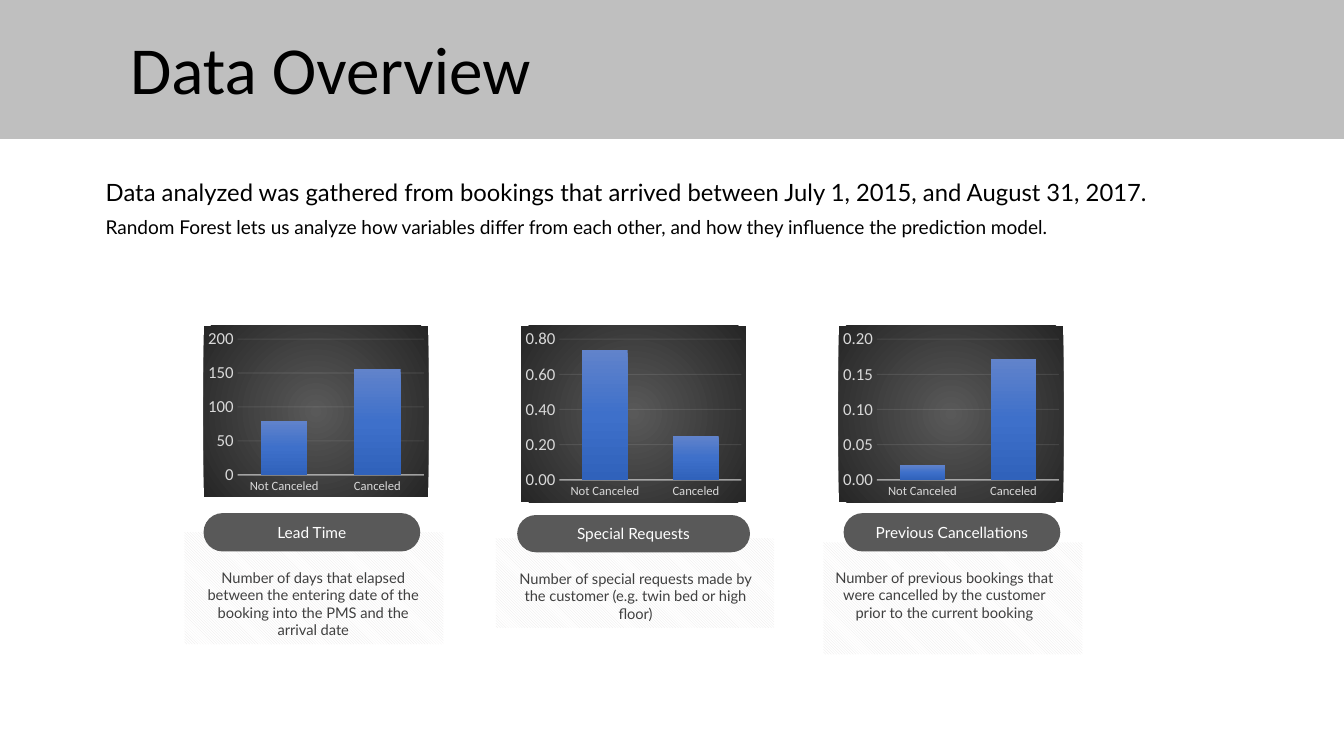
"""Build the Data Overview slide with three comparison cards."""
from dataclasses import dataclass

from lxml import etree
from pptx import Presentation
from pptx.chart.data import CategoryChartData
from pptx.dml.color import RGBColor
from pptx.enum.chart import XL_CHART_TYPE, XL_TICK_MARK
from pptx.enum.dml import MSO_PATTERN
from pptx.enum.shapes import MSO_SHAPE
from pptx.enum.text import MSO_ANCHOR, MSO_AUTO_SIZE, PP_ALIGN
from pptx.oxml import parse_xml
from pptx.oxml.ns import nsdecls, qn
from pptx.util import Pt

COLUMN = XL_CHART_TYPE.COLUMN_CLUSTERED
NO_TICK = XL_TICK_MARK.NONE
STRIPES = MSO_PATTERN.LIGHT_DOWNWARD_DIAGONAL
RECTANGLE = MSO_SHAPE.RECTANGLE
ROUNDED = MSO_SHAPE.ROUNDED_RECTANGLE
MIDDLE, TOP = MSO_ANCHOR.MIDDLE, MSO_ANCHOR.TOP
NO_AUTOFIT = MSO_AUTO_SIZE.NONE
LEFT, CENTER = PP_ALIGN.LEFT, PP_ALIGN.CENTER
LINEAR = '<a:lin ang="5400000" scaled="0"/>'
RADIAL = ('<a:path path="circle"><a:fillToRect l="50000" t="50000" '
          'r="50000" b="50000"/></a:path>')


@dataclass(frozen=True)
class Theme:
    """Fonts, colours and type sizes of the slide."""
    heading_font: str = "Calibri"
    body_font: str = "Lato"
    ink: str = "000000"
    white: str = "FFFFFF"
    banner: str = "BFBFBF"
    pill: str = "595959"
    caption: str = "404040"
    stripe: str = "E7E6E6"
    axis_text: str = "D9D9D9"
    axis_line: str = "F2F2F2"
    chart_stops: tuple = ((0, "595959"), (100, "262626"))
    bar_stops: tuple = ((0, "6183CB"), (50, "3E70CA"), (100, "3062BB"))
    title_size: float = 48
    lead_size: float = 17
    detail_size: float = 13.6
    pill_size: float = 11
    caption_size: float = 10.5
    value_size: float = 12
    category_size: float = 9


@dataclass(frozen=True)
class Card:
    """Content and boxes (left, top, width, height) of one card."""
    label: str
    caption: str
    values: tuple
    number_format: str
    step: float
    maximum: float
    panel: tuple
    chart: tuple
    pill: tuple
    text: tuple


THEME = Theme()
CARDS = (
    Card("Lead Time",
         "Number of days that elapsed between the entering date of the "
         "booking into the PMS and the arrival date",
         (80, 156), "0", 50, 200,
         (131.8, 380.2, 185, 80), (145.4, 232.6, 160.6, 122.4),
         (145.4, 366.5, 154.8, 27.4), (141.8, 406, 164, 51)),
    Card("Special Requests",
         "Number of special requests made by the customer "
         "(e.g. twin bed or high floor)",
         (0.74, 0.25), "0.00", 0.2, 0.8,
         (354.2, 384.5, 198.7, 64), (372.2, 232.6, 160.6, 126),
         (369.4, 367.9, 166.3, 26.6), (365.8, 406.8, 176.4, 38)),
    Card("Previous Cancellations",
         "Number of previous bookings that were cancelled by the customer "
         "prior to the current booking",
         (0.021, 0.172), "0.00", 0.05, 0.2,
         (588.2, 387.4, 185, 80), (599, 232.6, 160.6, 126),
         (602.6, 366.5, 154.8, 27.4), (592.6, 406, 164, 51)),
)


def rgb(value):
    """Turn a hex string into a colour."""
    return RGBColor.from_string(value)


def points(box):
    """Turn a box of numbers into lengths."""
    return [Pt(value) for value in box]


def style_font(font, name, size, color):
    """Set the face, size and colour of a font."""
    font.name, font.size = name, Pt(size)
    font.color.rgb = rgb(color)


def write(paragraph, text, name, size, color, align=LEFT):
    """Add one styled run to a paragraph."""
    paragraph.alignment = align
    run = paragraph.add_run()
    run.text = text
    style_font(run.font, name, size, color)


def add_box(slide, kind, box):
    """Add a preset shape without line or shadow."""
    shape = slide.shapes.add_shape(kind, *points(box))
    shape.shadow.inherit = False
    shape.line.fill.background()
    return shape


def add_text(slide, box, margin=0):
    """Add a wrapping text box and return its frame."""
    frame = slide.shapes.add_textbox(*points(box)).text_frame
    frame.word_wrap = True
    frame.vertical_anchor = TOP
    frame.margin_left = frame.margin_right = Pt(margin)
    frame.margin_top = frame.margin_bottom = Pt(margin / 2)
    return frame


def gradient(stops, direction):
    """Make a gradient fill element."""
    marks = "".join(f'<a:gs pos="{position * 1000}"><a:srgbClr val="{color}"/></a:gs>'
                    for position, color in stops)
    return parse_xml(f'<a:gradFill {nsdecls("a")} rotWithShape="1">'
                     f'<a:gsLst>{marks}</a:gsLst>{direction}</a:gradFill>')


def style_line(line, width, opacity):
    """Give a chart line its width and partly transparent colour."""
    line.width = Pt(width)
    line.color.rgb = rgb(THEME.axis_line)
    for color in line.fill._xPr.iter(qn("a:srgbClr")):
        etree.SubElement(color, qn("a:alpha")).set("val", str(opacity * 1000))


def style_axis(axis, size):
    """Remove tick marks and style the labels of an axis."""
    axis.major_tick_mark = axis.minor_tick_mark = NO_TICK
    style_font(axis.tick_labels.font, THEME.heading_font, size, THEME.axis_text)


def add_column_chart(slide, card):
    """Add the two-column chart of a card."""
    data = CategoryChartData(number_format=card.number_format)
    data.categories = ["Not Canceled", "Canceled"]
    data.add_series("Series 1", card.values)
    chart = slide.shapes.add_chart(COLUMN, *points(card.chart), data).chart
    chart.has_title = chart.has_legend = False
    style_font(chart.font, THEME.heading_font, 10, THEME.ink)
    area = parse_xml(f'<c:spPr {nsdecls("c", "a")}><a:ln><a:noFill/></a:ln></c:spPr>')
    area.insert(0, gradient(THEME.chart_stops, RADIAL))
    chart._chartSpace.find(qn("c:chart")).addnext(area)
    plot = chart.plots[0]
    plot.vary_by_categories = False
    plot.gap_width, plot.overlap = 100, -24
    bars = plot.series[0]._element.get_or_add_spPr()
    bars.insert(0, gradient(THEME.bar_stops, LINEAR))
    style_axis(chart.category_axis, THEME.category_size)
    style_line(chart.category_axis.format.line, 1, 54)
    axis = chart.value_axis
    style_axis(axis, THEME.value_size)
    axis.format.line.fill.background()
    style_line(axis.major_gridlines.format.line, 0.75, 10)
    axis.minimum_scale, axis.maximum_scale = 0, card.maximum
    axis.major_unit = card.step
    axis.tick_labels.number_format = card.number_format
    axis.tick_labels.number_format_is_linked = False


def add_card(slide, card):
    """Add the striped panel, chart, label and caption of a card."""
    fill = add_box(slide, RECTANGLE, card.panel).fill
    fill.patterned()
    fill.pattern = STRIPES
    fill.fore_color.rgb, fill.back_color.rgb = rgb(THEME.stripe), rgb(THEME.white)
    add_column_chart(slide, card)
    pill = add_box(slide, ROUNDED, card.pill)
    pill.adjustments[0] = 0.5
    pill.fill.solid()
    pill.fill.fore_color.rgb = rgb(THEME.pill)
    pill.text_frame.vertical_anchor = MIDDLE
    write(pill.text_frame.paragraphs[0], card.label, THEME.body_font,
          THEME.pill_size, THEME.white, CENTER)
    write(add_text(slide, card.text).paragraphs[0], card.caption, THEME.body_font,
          THEME.caption_size, THEME.caption, CENTER)


def add_header(slide):
    """Add the banner behind the title and format the title."""
    banner = add_box(slide, RECTANGLE, (0, 0, 960, 99.2))
    banner.fill.solid()
    banner.fill.fore_color.rgb = rgb(THEME.banner)
    title = slide.shapes.title
    title._element.addprevious(banner._element)
    title.left, title.top, title.width, title.height = points((85.7, 0, 828, 104.4))
    frame = title.text_frame
    frame.auto_size, frame.vertical_anchor = NO_AUTOFIT, MIDDLE
    frame.paragraphs[0].line_spacing = 0.9
    write(frame.paragraphs[0], "Data Overview", THEME.heading_font,
          THEME.title_size, THEME.ink)


def add_introduction(slide):
    """Add the two introductory sentences."""
    frame = add_text(slide, (68.4, 127.4, 863.3, 67.7), 7.2)
    lines = (
        ("Data analyzed was gathered from bookings that arrived between "
         "July 1, 2015, and August 31, 2017.", THEME.lead_size),
        ("Random Forest lets us analyze how variables differ from each other, "
         "and how they influence the prediction model.", THEME.detail_size),
    )
    for index, (text, size) in enumerate(lines):
        paragraph = frame.add_paragraph() if index else frame.paragraphs[0]
        paragraph.line_spacing, paragraph.space_before = 0.8, Pt(10)
        write(paragraph, text, THEME.body_font, size, THEME.ink)


def main():
    """Build and save the presentation."""
    presentation = Presentation()
    presentation.slide_width, presentation.slide_height = Pt(960), Pt(540)
    slide = presentation.slides.add_slide(presentation.slide_layouts[5])
    add_header(slide)
    add_introduction(slide)
    for card in CARDS:
        add_card(slide, card)
    presentation.save("out.pptx")


if __name__ == "__main__":
    main()
